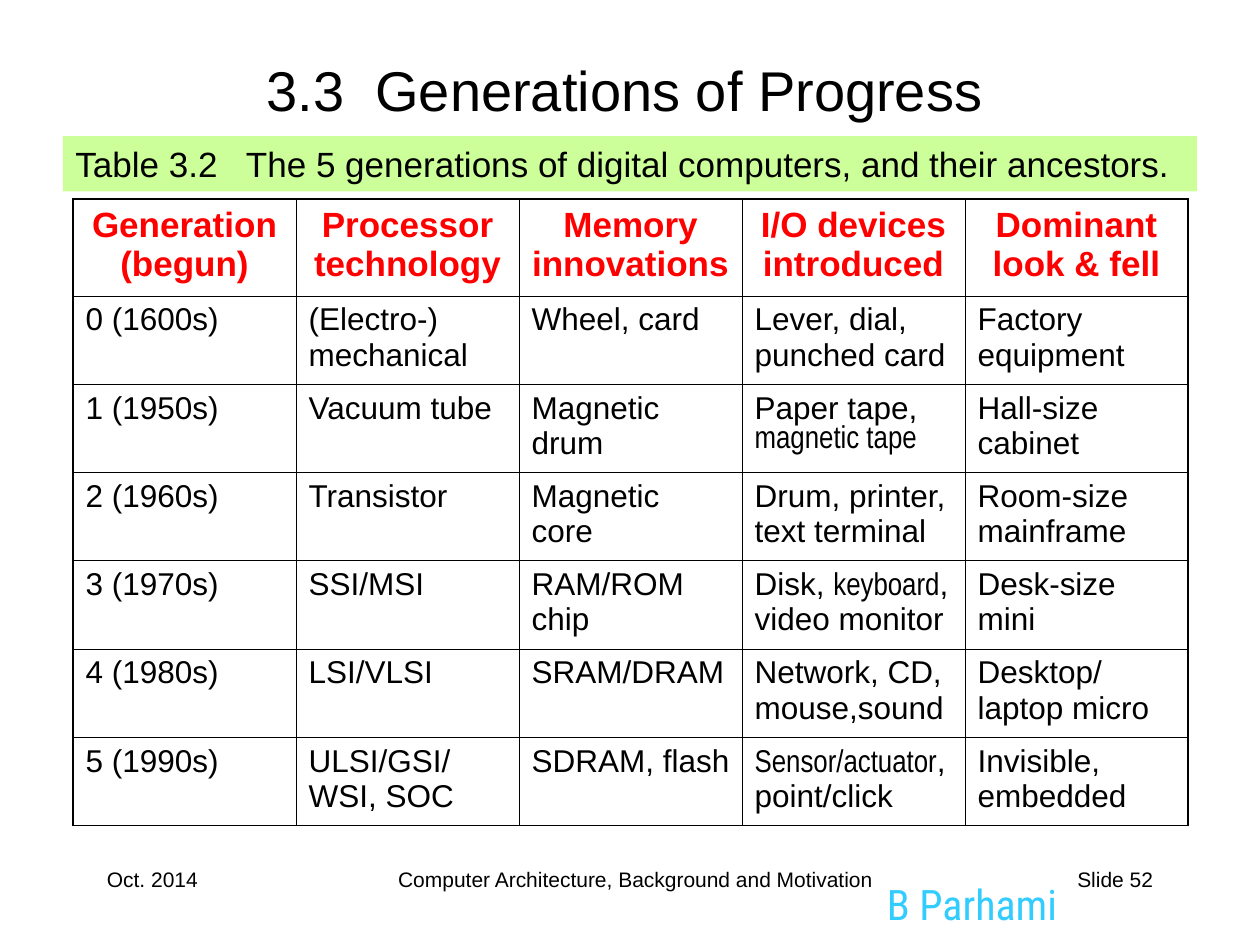
"""Build the slide on generations of progress in digital computers."""
from lxml.etree import SubElement
from pptx import Presentation
from pptx.dml.color import RGBColor
from pptx.enum.shapes import MSO_SHAPE
from pptx.enum.text import MSO_ANCHOR, PP_ALIGN
from pptx.oxml.ns import qn
from pptx.util import Inches, Pt

COLORS = {"text": "000000", "header": "FF0000", "band": "CCFF99", "author": "33CCFF"}
LEFT, CENTER, RIGHT = PP_ALIGN.LEFT, PP_ALIGN.CENTER, PP_ALIGN.RIGHT
NARROW_MARK = "|"

TITLE = "3.3  Generations of Progress"
CAPTION = "Table 3.2   The 5 generations of digital computers, and their ancestors."
AUTHOR = "B Parhami"
FOOTERS = [
    ("Oct. 2014", 0.75, 2.08, LEFT),
    ("Computer Architecture, Background and Motivation", 2.42, 5.25, CENTER),
    ("Slide 52", 7.17, 2.08, RIGHT),
]
GENERATIONS = [
    ("Generation (begun)", "Processor technology", "Memory innovations",
     "I/O devices introduced", "Dominant look & fell"),
    ("0 (1600s)", "(Electro-) mechanical", "Wheel, card",
     "Lever, dial, punched card", "Factory equipment"),
    ("1 (1950s)", "Vacuum tube", "Magnetic drum",
     "Paper tape, |magnetic tape|", "Hall-size cabinet"),
    ("2 (1960s)", "Transistor", "Magnetic core",
     "Drum, printer, text terminal", "Room-size mainframe"),
    ("3 (1970s)", "SSI/MSI", "RAM/ROM chip",
     "Disk, |keyboard|, video monitor", "Desk-size mini"),
    ("4 (1980s)", "LSI/VLSI", "SRAM/DRAM",
     "Network, CD, mouse,sound", "Desktop/ laptop micro"),
    ("5 (1990s)", "ULSI/GSI/ WSI, SOC", "SDRAM, flash",
     "|Sensor/actuator|, point/click", "Invisible, embedded"),
]
TABLE_LEFT, TABLE_TOP, TABLE_WIDTH = 0.58, 1.58, 8.85
HEADER_HEIGHT, ROW_HEIGHT = 0.77, 0.7
OUTER_LINE, INNER_LINE = 1.08, 0.45


def write_text(frame, text, size=12, font="Arial", color="text", bold=False,
               align=LEFT, before=0):
    paragraph = frame.paragraphs[0]
    paragraph.alignment = align
    paragraph.space_before = Pt(before)
    for index, part in enumerate(text.split(NARROW_MARK)):
        if part:
            span = paragraph.add_run()
            span.text = part
            span.font.name = "Arial Narrow" if index % 2 else font
            span.font.size = Pt(size)
            span.font.bold = bold
            span.font.color.rgb = RGBColor.from_string(COLORS[color])


def add_text(page, text, left, top, width, height, anchor=MSO_ANCHOR.TOP, **style):
    box = page.shapes.add_textbox(*map(Inches, (left, top, width, height)))
    box.text_frame.word_wrap = True
    box.text_frame.vertical_anchor = anchor
    write_text(box.text_frame, text, **style)


def add_caption(page):
    band = page.shapes.add_shape(MSO_SHAPE.RECTANGLE, *map(Inches, (0.5, 1.08, 9, 0.44)))
    band.shadow.inherit = False
    band.fill.solid()
    band.fill.fore_color.rgb = RGBColor.from_string(COLORS["band"])
    band.line.fill.background()
    band.text_frame.word_wrap = True
    band.text_frame.vertical_anchor = MSO_ANCHOR.TOP
    write_text(band.text_frame, CAPTION, size=20)


def set_borders(cell, edges):
    properties = cell._tc.get_or_add_tcPr()
    for index, (side, is_outer) in enumerate(edges.items()):
        width = Pt(OUTER_LINE if is_outer else INNER_LINE)
        line = properties.makeelement(qn(f"a:ln{side}"), {"w": str(width)})
        fill = SubElement(line, qn("a:solidFill"))
        SubElement(fill, qn("a:srgbClr"), val=COLORS["text"])
        properties.insert(index, line)


def add_generations(page):
    row_count, column_count = len(GENERATIONS), len(GENERATIONS[0])
    heights = [HEADER_HEIGHT] + [ROW_HEIGHT] * (row_count - 1)
    table = page.shapes.add_table(
        row_count, column_count,
        *map(Inches, (TABLE_LEFT, TABLE_TOP, TABLE_WIDTH, sum(heights)))).table
    table.first_row = table.horz_banding = False
    for column in table.columns:
        column.width = Inches(TABLE_WIDTH / column_count)
    for r, texts in enumerate(GENERATIONS):
        table.rows[r].height = Inches(heights[r])
        style = (dict(size=18, before=4.5) if r else
                 dict(size=20, before=5, bold=True, color="header", align=CENTER))
        for c, text in enumerate(texts):
            cell = table.cell(r, c)
            cell.fill.background()
            write_text(cell.text_frame, text, **style)
            set_borders(cell, {"L": c == 0, "R": c == column_count - 1,
                               "T": r == 0, "B": r == row_count - 1})


def main():
    deck = Presentation()
    deck.slide_width, deck.slide_height = Inches(10), Inches(7.5)
    page = deck.slides.add_slide(deck.slide_layouts[6])
    add_text(page, AUTHOR, 6.94, 6.92, 1.65, 0.5,
             size=24, font="Roboto Condensed", color="author")
    for text, left, width, align in FOOTERS:
        add_text(page, text, left, 6.83, width, 0.5, align=align)
    add_text(page, TITLE, 0.42, 0.17, 9.08, 1.08, anchor=MSO_ANCHOR.MIDDLE,
             size=32, align=CENTER)
    add_caption(page)
    add_generations(page)
    deck.save("out.pptx")


if __name__ == "__main__":
    main()
